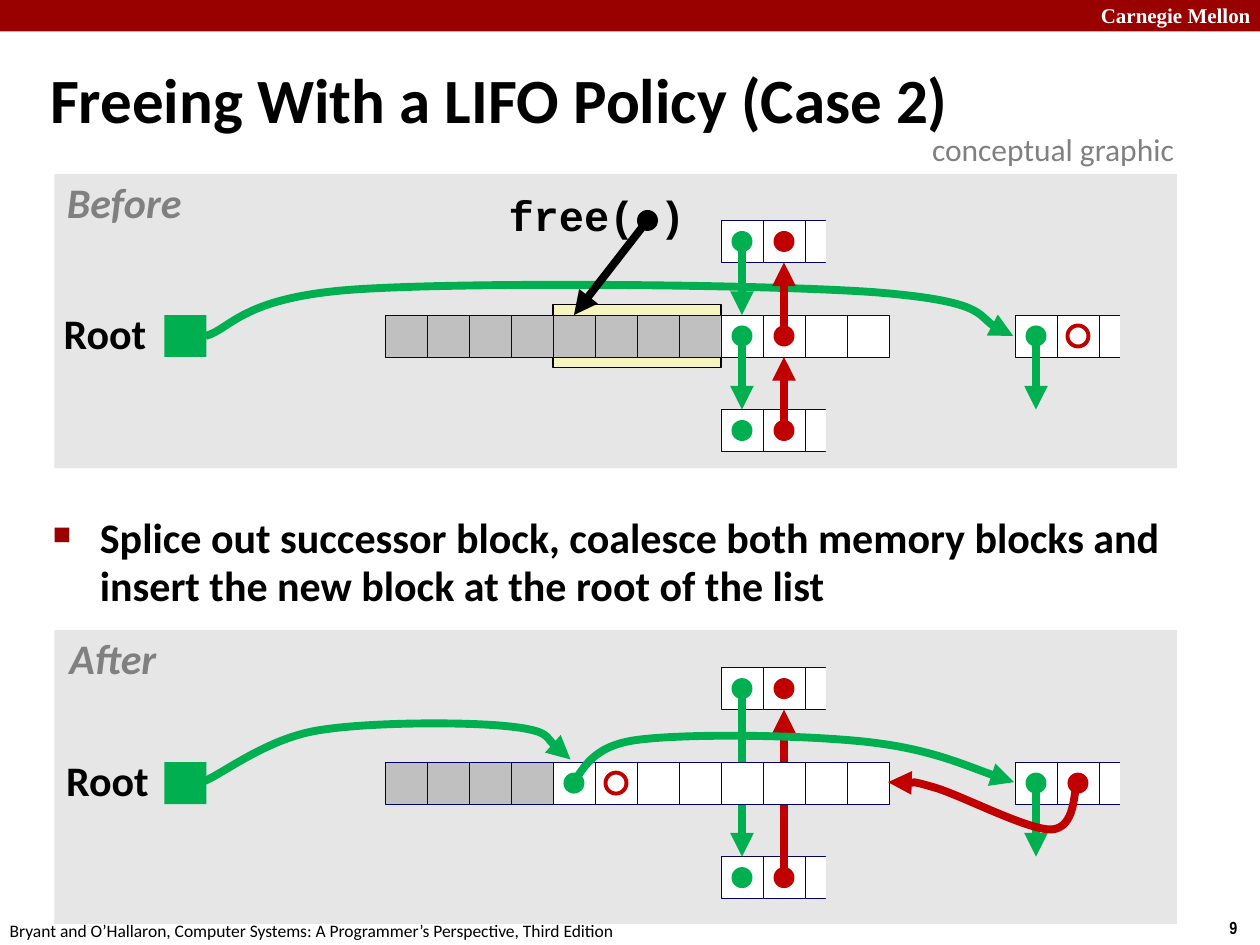
from dataclasses import dataclass
from lxml.etree import SubElement as Sub
from pptx import Presentation as Deck
from pptx.dml.color import RGBColor as Rgb
from pptx.enum.shapes import MSO_CONNECTOR as Link, MSO_SHAPE as Form
from pptx.enum.text import MSO_ANCHOR as Anchor, PP_ALIGN as Align
from pptx.oxml.ns import qn
from pptx.shapes.autoshape import Shape
from pptx.shapes.shapetree import SlideShapes as Shapes
from pptx.util import Pt

Point = tuple[float, float]


@dataclass(frozen=True)
class Theme:
    black: str = "000000"
    white: str = "FFFFFF"
    brand: str = "990000"
    panel: str = "E6E6E6"
    used: str = "C0C0C0"
    edge: str = "000066"
    gold: str = "F6F5BD"
    green: str = "00B050"
    red: str = "C00000"
    mute: str = "808080"
    sans: str = "Calibri"
    code: str = "Courier New"
    serif: str = "Times New Roman"
    thin: str = "Arial Narrow"
    title: float = 36
    body: float = 24
    note: float = 18
    head: float = 12
    foot: float = 10
    stroke: float = 4.5


@dataclass(frozen=True)
class Label:
    text: str
    left: float
    top: float
    width: float
    height: float
    size: float
    color: str = "000000"
    font: str = "Calibri"
    bold: bool = True
    slant: bool = False
    wrap: bool = False
    inset: float = 3.6
    align: Align = Align.CENTER
    space: float = 0.9


@dataclass(frozen=True)
class Scene:
    name: str
    top: float
    row: float
    name_left: float
    name_width: float
    root_left: float


T = Theme()
CELL, DOT, STEP = 24, 12, 54
HEAP, NEXT, FAR = 220, 412, 580
FREED = HEAP + 4 * CELL
BEFORE = Scene("Before", 99.5, 180, 34, 74, 32.5)
AFTER = Scene("After", 360, 435.5, 35.5, 58, 34)


def mid(left: float, index: int = 0) -> float:
    return left + (index + 0.5) * CELL


def add_form(shapes: Shapes, form: Form, left: float, top: float, width: float,
             height: float, fill: str = "", line: str = "", weight: float = 0.25) -> Shape:
    shape = shapes.add_shape(form, Pt(left), Pt(top), Pt(width), Pt(height))
    paint(shape, fill, line, weight)
    return shape


def paint(shape: Shape, fill: str, line: str, weight: float) -> None:
    shape.shadow.inherit = False
    if fill:
        shape.fill.solid()
        shape.fill.fore_color.rgb = Rgb.from_string(fill)
    else:
        shape.fill.background()
    if line:
        shape.line.color.rgb = Rgb.from_string(line)
        shape.line.width = Pt(weight)
    else:
        shape.line.fill.background()


def add_label(shapes: Shapes, label: Label) -> Shape:
    box = shapes.add_textbox(Pt(label.left), Pt(label.top), Pt(label.width), Pt(label.height))
    frame = box.text_frame
    frame.word_wrap = label.wrap
    frame.margin_left = frame.margin_right = Pt(label.inset)
    frame.margin_top = frame.margin_bottom = Pt(3.6)
    frame.text = label.text
    para = frame.paragraphs[0]
    para.alignment = label.align
    para.line_spacing = label.space
    font = para.runs[0].font
    font.name, font.size = label.font, Pt(label.size)
    font.bold, font.italic = label.bold, label.slant
    font.color.rgb = Rgb.from_string(label.color)
    return box


def add_plain(shapes: Shapes, text: str, left: float, top: float, width: float,
              height: float, size: float, **style: object) -> Shape:
    style = {"inset": 7.2, "align": Align.LEFT, "space": 1.0} | style
    return add_label(shapes, Label(text, left, top, width, height, size, **style))


def hang(box: Shape, indent: float, mark: str = "") -> None:
    props = box.text_frame.paragraphs[0]._p.get_or_add_pPr()
    props.set("marL", str(Pt(indent)))
    props.set("indent", str(Pt(-indent)))
    if mark:
        Sub(Sub(props, qn("a:buClr")), qn("a:srgbClr"), val=T.brand)
        Sub(props, qn("a:buSzPct"), val="60000")
        Sub(props, qn("a:buChar"), char=mark)


def add_tip(shape: Shape) -> None:
    Sub(shape.line._get_or_add_ln(), qn("a:tailEnd"), type="triangle")


def add_arrow(shapes: Shapes, start: Point, end: Point, color: str) -> None:
    arrow = shapes.add_connector(Link.STRAIGHT, *map(Pt, start + end))
    arrow.line.color.rgb = Rgb.from_string(color)
    arrow.line.width = Pt(T.stroke)
    Sub(arrow.element.spPr, qn("a:effectLst"))
    add_tip(arrow)


def add_curve(shapes: Shapes, points: list[Point], color: str) -> None:
    spots = [(Pt(x), Pt(y)) for x, y in points]
    pen = shapes.build_freeform(*spots[0])
    pen.add_line_segments(spots[1:], close=False)
    shape = pen.convert_to_shape()
    track = next(shape.element.iter(qn("a:path")))
    legs = track.findall(qn("a:lnTo"))
    for index in range(0, len(legs), 3):
        bend = Sub(track, qn("a:cubicBezTo"))
        for leg in legs[index:index + 3]:
            bend.append(leg[0])
            track.remove(leg)
    paint(shape, "", color, T.stroke)
    add_tip(shape)


def add_cells(shapes: Shapes, left: float, top: float, fills: list[str]) -> None:
    for index, fill in enumerate(fills):
        add_form(shapes, Form.RECTANGLE, left + index * CELL, top, CELL, CELL, fill, T.edge)


def add_stub(shapes: Shapes, left: float, top: float) -> None:
    add_cells(shapes, left, top, [T.white] * 3)
    add_form(shapes, Form.RECTANGLE, left + 2.5 * CELL, top - 6, CELL, 36, T.panel)


def add_dot(shapes: Shapes, x: float, y: float, fill: str, line: str = "") -> None:
    add_form(shapes, Form.OVAL, x - DOT / 2, y - DOT / 2, DOT, DOT, fill, line, 2.25)


def add_scene(shapes: Shapes, scene: Scene) -> None:
    add_form(shapes, Form.RECTANGLE, 31, scene.top, 641.5, 168, T.panel)
    add_label(shapes, Label(scene.name, scene.name_left, scene.top + 1.2, scene.name_width,
                            34, T.body, T.mute, slant=True))
    add_label(shapes, Label("Root", scene.root_left, scene.row - 4.5, 55, 34, T.body))
    add_form(shapes, Form.RECTANGLE, 94, scene.row, CELL, CELL, T.green)
    for left, top in ((NEXT, -STEP), (NEXT, STEP), (FAR, 0)):
        add_stub(shapes, left, scene.row + top)
        add_dot(shapes, mid(left), mid(scene.row + top), T.green)
    for shift in (-STEP, STEP):
        add_dot(shapes, mid(NEXT, 1), mid(scene.row + shift), T.red)
    add_arrow(shapes, (mid(FAR), mid(scene.row)), (mid(FAR), scene.row + STEP), T.green)


def add_before(shapes: Shapes) -> None:
    row = BEFORE.row
    add_scene(shapes, BEFORE)
    add_form(shapes, Form.RECTANGLE, FREED, row - 6, 4 * CELL, 36, T.gold, T.black, 0.75)
    add_curve(shapes, [(117.5, 192), (132, 188), (138, 170), (202, 165.5), (265.5, 161),
                       (436, 162.5), (499.5, 167), (562.5, 172), (562.5, 187), (579, 192)], T.green)
    add_cells(shapes, HEAP, row, [T.used] * 8 + [T.white] * 4)
    add_dot(shapes, mid(NEXT), mid(row), T.green)
    add_dot(shapes, mid(NEXT, 1), mid(row), T.red)
    for top in (row - STEP, row):
        add_arrow(shapes, (mid(NEXT), mid(top)), (mid(NEXT), top + STEP), T.green)
        add_arrow(shapes, (mid(NEXT, 1), mid(top + STEP)), (mid(NEXT, 1), top + CELL), T.red)
    add_dot(shapes, mid(FAR, 1), mid(row), "", T.red)
    add_label(shapes, Label("free( )", 286.5, 108, 109, 34, T.body, font=T.code))
    add_dot(shapes, 370, 126, T.black)
    add_arrow(shapes, (370, 126), (mid(FREED), row), T.black)


def add_after(shapes: Shapes) -> None:
    row = AFTER.row
    add_scene(shapes, AFTER)
    add_arrow(shapes, (mid(NEXT), mid(row - STEP)), (mid(NEXT), row + STEP), T.green)
    add_arrow(shapes, (mid(NEXT, 1), mid(row + STEP)), (mid(NEXT, 1), row - STEP + CELL), T.red)
    add_cells(shapes, HEAP, row, [T.used] * 4 + [T.white] * 8)
    add_dot(shapes, mid(FREED), mid(row), T.green)
    add_dot(shapes, mid(FREED, 1), mid(row), "", T.red)
    add_dot(shapes, mid(FAR, 1), mid(row), T.red)
    add_curve(shapes, [(327, 447), (332.5, 443.5), (335, 427), (363, 423), (391, 419),
                       (459.5, 420), (495.5, 424), (531.5, 428), (562.5, 442), (579.5, 447)], T.green)
    add_curve(shapes, [(615.5, 447), (613.5, 451.5), (615, 473), (601, 474), (587.5, 474.5),
                       (549.5, 454.5), (534, 450), (518.5, 445.5), (513.5, 448), (507.5, 447)], T.red)
    add_curve(shapes, [(116.5, 446.5), (127.5, 442), (152, 422.5), (181, 417.5), (210, 412.5),
                       (266.5, 412.5), (290, 415), (314.5, 417.5), (319, 430), (326, 434)], T.green)


def add_text(shapes: Shapes) -> None:
    add_form(shapes, Form.RECTANGLE, 0, 0, 720, 18, T.brand)
    add_plain(shapes, "Carnegie Mellon", 622, -2, 103, 21.5, T.head,
              color=T.white, font=T.serif, wrap=True)
    add_plain(shapes, "9", 695.5, 520.5, 24.5, 19.5, T.foot, font=T.thin)
    add_plain(shapes, "Bryant and O’Hallaron, Computer Systems: A Programmer’s Perspective, Third Edition",
              -1.5, 522, 366, 19.5, T.foot, bold=False)
    title = add_plain(shapes, "Freeing With a LIFO Policy (Case 2)", 21.5, 28, 686, 62,
                      T.title, wrap=True, space=0.87)
    title.text_frame.vertical_anchor = Anchor.MIDDLE
    hang(title, 9.5)
    body = add_plain(shapes, "Splice out successor block, coalesce both memory blocks and "
                     "insert the new block at the root of the list",
                     23, 291, 654.5, 62, T.body, wrap=True, space=0.95)
    hang(body, 27, "■")
    add_plain(shapes, "conceptual graphic", 525.5, 70.5, 156, 29, T.note, color=T.mute, bold=False)


def main() -> None:
    deck = Deck()
    deck.slide_width, deck.slide_height = Pt(720), Pt(540)
    shapes = deck.slides.add_slide(deck.slide_layouts[6]).shapes
    add_before(shapes)
    add_after(shapes)
    add_text(shapes)
    deck.save("out.pptx")


if __name__ == "__main__":
    main()
